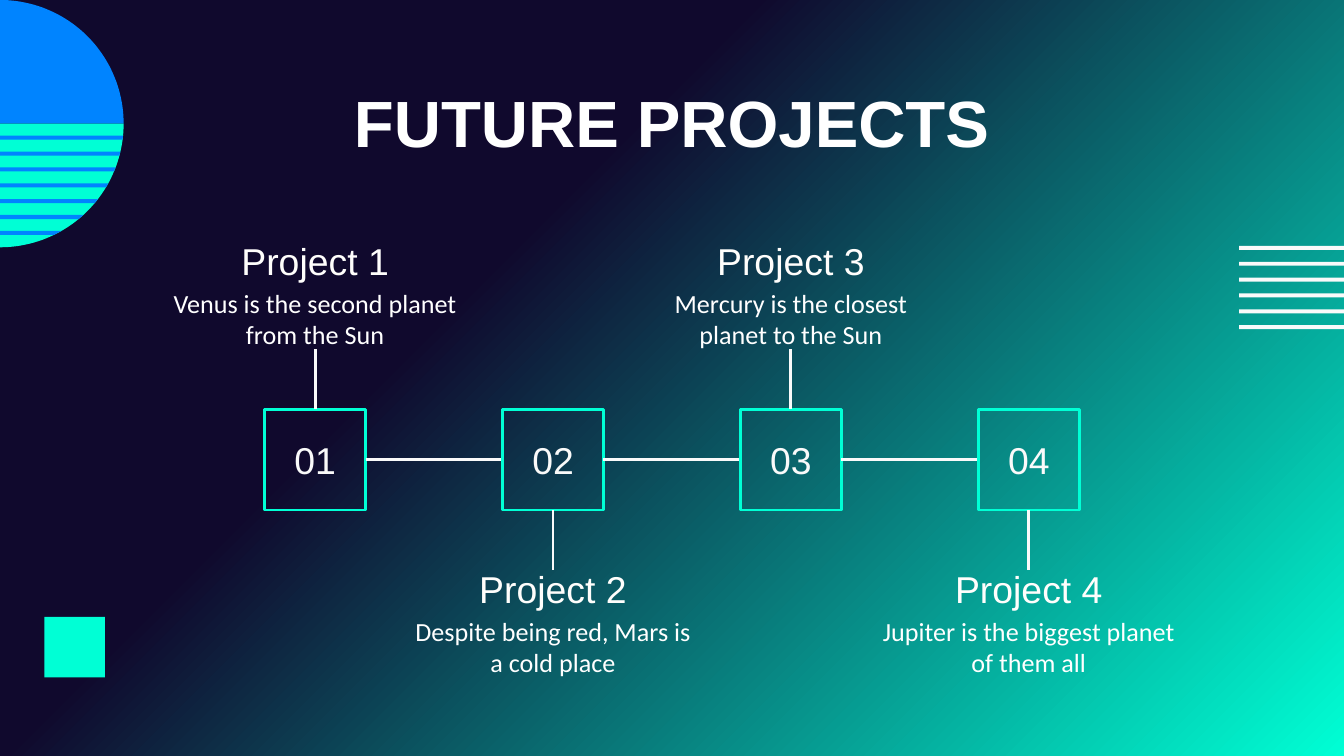
import copy
import math

from pptx import Presentation
from pptx import util as u
from pptx.dml.color import RGBColor
from pptx.enum import shapes, text
from pptx.oxml.ns import qn

WIDTH = 10
HEIGHT = WIDTH * 9 / 16
NAVY, MINT, BLUE, PALE, WHITE = "10092D", "00FFD5", "0084FF", "FAFAFA", "FFFFFF"

# Timeline grid: four columns centred on the slide
PITCH = 1.77
BOX_SIZE = 0.75
AXIS = 3.42
STEM = 0.45
SUN_RADIUS = 0.92
STRIPE_GAP = 0.118
STRIPE_HEIGHT = 0.03

# Name, summary and width of the summary
PROJECTS = [
    ("Project 1", "Venus is the second planet from the Sun", 2.19),
    ("Project 2", "Despite being red, Mars is a cold place", 2.15),
    ("Project 3", "Mercury is the closest planet to the Sun", 2.19),
    ("Project 4", "Jupiter is the biggest planet of them all", 2.19),
]


def colour(value):
    return RGBColor.from_string(value)


def column_centre(index):
    return WIDTH / 2 + (index - (len(PROJECTS) - 1) / 2) * PITCH


def paint(shape, fill=None, line=None):
    shape.shadow.inherit = False
    if fill:
        shape.fill.solid()
        shape.fill.fore_color.rgb = colour(fill)
    else:
        shape.fill.background()
    if line:
        shape.line.color.rgb = colour(line)
        shape.line.width = u.Pt(1.5)
    else:
        shape.line.fill.background()


def write(box, words, size, font="Arial", ink=WHITE, bold=False, inset=0):
    frame = box.text_frame
    frame.word_wrap = True
    frame.vertical_anchor = text.MSO_ANCHOR.MIDDLE
    frame.margin_left = frame.margin_right = u.Inches(inset)
    frame.margin_top = frame.margin_bottom = u.Inches(inset)
    para = frame.paragraphs[0]
    para.alignment = text.PP_ALIGN.CENTER
    span = para.add_run()
    span.text = words
    span.font.name = font
    span.font.size = u.Pt(size)
    span.font.bold = bold
    span.font.color.rgb = colour(ink)


def add_label(page, centre, top, width, height, words, **style):
    box = page.shapes.add_textbox(u.Inches(centre - width / 2), u.Inches(top),
                                  u.Inches(width), u.Inches(height))
    write(box, words, **style)


def add_rectangle(page, left, top, width, height, fill=None, line=None):
    box = page.shapes.add_shape(shapes.MSO_SHAPE.RECTANGLE, u.Inches(left), u.Inches(top),
                                u.Inches(width), u.Inches(height))
    paint(box, fill, line)
    return box


def add_line(page, x1, y1, x2, y2):
    line = page.shapes.add_connector(shapes.MSO_CONNECTOR.STRAIGHT, u.Inches(x1), u.Inches(y1),
                                     u.Inches(x2), u.Inches(y2))
    line.line.color.rgb = colour(PALE)
    line.line.width = u.Pt(1.5)
    properties = line._element.spPr
    properties.append(properties.makeelement(qn("a:effectLst"), {}))


def add_outline(page, points, fill):
    points = [(u.Inches(x), u.Inches(y)) for x, y in points]
    builder = page.shapes.build_freeform(*points[0])
    builder.add_line_segments(points[1:], close=True)
    paint(builder.convert_to_shape(), fill)


def add_background(page):
    fill = page.background.fill
    fill.gradient()
    fill.gradient_angle = 315
    first = page.element.xpath(".//a:gs")[0]
    first.addnext(copy.deepcopy(first))
    stops = [(0, NAVY), (0.36, NAVY), (1, MINT)]
    for stop, (position, value) in zip(fill.gradient_stops, stops):
        stop.position = position
        stop.color.rgb = colour(value)


def add_sun(page):
    def quarter(start):
        angles = [math.radians(start + step) for step in range(0, 91, 2)]
        return [(0, SUN_RADIUS)] + [(SUN_RADIUS * math.cos(a), SUN_RADIUS * (1 + math.sin(a)))
                                    for a in angles]

    def edge(y):
        return math.sqrt(SUN_RADIUS ** 2 - (y - SUN_RADIUS) ** 2), y

    add_outline(page, quarter(-90), BLUE)
    add_outline(page, quarter(0), MINT)
    for row in range(7):
        top = 1.01 + row * STRIPE_GAP
        bottom = top + STRIPE_HEIGHT
        add_outline(page, [(0, top), edge(top), edge(bottom), (0, bottom)], BLUE)


def add_decoration(page):
    add_sun(page)
    left = 9.22
    for row in range(6):
        add_rectangle(page, left, 1.83 + row * STRIPE_GAP, WIDTH - left, STRIPE_HEIGHT, PALE)
    add_rectangle(page, 0.33, 4.59, 0.45, 0.45, MINT)


def add_project(page, index, name, summary, summary_width):
    centre = column_centre(index)
    half = BOX_SIZE / 2
    above = index % 2 == 0

    # Numbered box with its stem
    box = add_rectangle(page, centre - half, AXIS - half, BOX_SIZE, BOX_SIZE, line=MINT)
    write(box, f"{index + 1:02}", size=20, ink=PALE, inset=0.1)
    side = -1 if above else 1
    add_line(page, centre, AXIS + side * half, centre, AXIS + side * (half + STEM))

    # Link to the next box
    if index < len(PROJECTS) - 1:
        add_line(page, centre + half, AXIS, column_centre(index + 1) - half, AXIS)

    # Name and summary
    top = 1.8 if above else 4.24
    add_label(page, centre, top, 1.81, 0.28, name, size=20, ink="FFFEFC")
    add_label(page, centre, top + 0.33, summary_width, 0.48, summary, size=14, font="Calibri")


def main():
    deck = Presentation()
    deck.slide_width, deck.slide_height = u.Inches(WIDTH), u.Inches(HEIGHT)
    page = deck.slides.add_slide(deck.slide_layouts[6])
    add_background(page)
    add_decoration(page)
    add_label(page, WIDTH / 2, 0.59, 8.43, 0.63, "FUTURE PROJECTS", size=35, bold=True, inset=0.1)
    for index, project in enumerate(PROJECTS):
        add_project(page, index, *project)
    deck.save("out.pptx")


if __name__ == "__main__":
    main()
